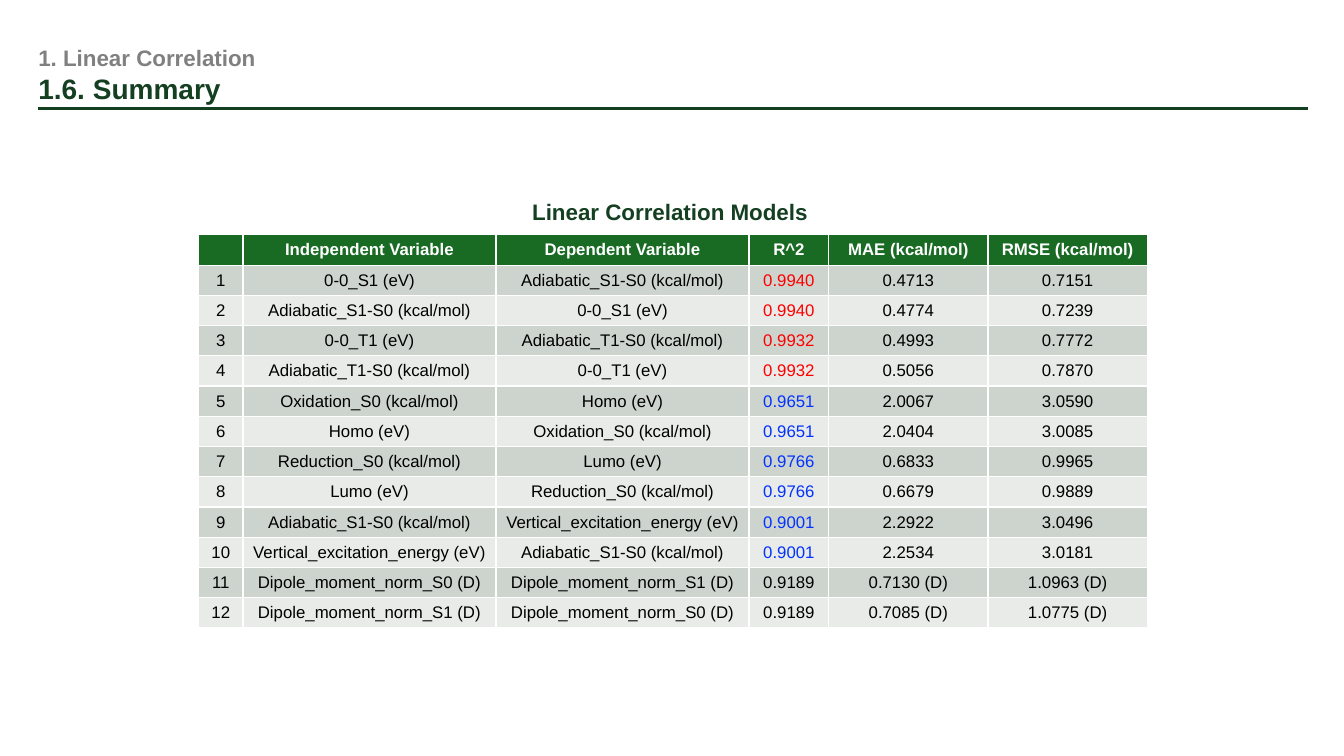
from pptx import Presentation
from pptx.dml.color import RGBColor
from pptx.enum.shapes import MSO_CONNECTOR
from pptx.enum.text import MSO_ANCHOR, MSO_AUTO_SIZE, PP_ALIGN
from pptx.oxml.ns import qn
from pptx.util import Inches, Pt
from lxml.etree import SubElement

COLORS = {
    "dark": "143F21", "gray": "808080", "head": "196B24",
    "odd": "CCD4CD", "even": "E8EBE8", "white": "FFFFFF",
    "black": "000000", "red": "FF0000", "blue": "0432FF",
}

HEAD = ["", "Independent Variable", "Dependent Variable", "R^2",
        "MAE (kcal/mol)", "RMSE (kcal/mol)"]
# Variable pair, R^2, its color, then (MAE, RMSE) for each direction
PAIRS = [
    ("0-0_S1 (eV)", "Adiabatic_S1-S0 (kcal/mol)", "0.9940", "red",
     ("0.4713", "0.7151"), ("0.4774", "0.7239")),
    ("0-0_T1 (eV)", "Adiabatic_T1-S0 (kcal/mol)", "0.9932", "red",
     ("0.4993", "0.7772"), ("0.5056", "0.7870")),
    ("Oxidation_S0 (kcal/mol)", "Homo (eV)", "0.9651", "blue",
     ("2.0067", "3.0590"), ("2.0404", "3.0085")),
    ("Reduction_S0 (kcal/mol)", "Lumo (eV)", "0.9766", "blue",
     ("0.6833", "0.9965"), ("0.6679", "0.9889")),
    ("Adiabatic_S1-S0 (kcal/mol)", "Vertical_excitation_energy (eV)", "0.9001", "blue",
     ("2.2922", "3.0496"), ("2.2534", "3.0181")),
    ("Dipole_moment_norm_S0 (D)", "Dipole_moment_norm_S1 (D)", "0.9189", "black",
     ("0.7130 (D)", "1.0963 (D)"), ("0.7085 (D)", "1.0775 (D)")),
]
WIDTHS = [0.44, 2.51, 2.51, 0.79, 1.58, 1.58]
ROW = 0.3


class Deck:
    def __init__(self, slide, face="Arial"):
        self.slide = slide
        self.face = face

    def color(self, name):
        return RGBColor.from_string(COLORS[name])

    def style(self, par, size, color, bold=False):
        font = par.font
        font.name, font.size, font.bold = self.face, Pt(size), bold
        font.color.rgb = self.color(color)

    def rule(self, x1, x2, y, color, width):
        line = self.slide.shapes.add_connector(
            MSO_CONNECTOR.STRAIGHT, Inches(x1), Inches(y), Inches(x2), Inches(y))
        line.line.color.rgb = self.color(color)
        line.line.width = Pt(width)
        SubElement(line._element.spPr, qn("a:effectLst"))

    def text(self, box, lines, inset=None, wrap=True):
        frame = self.slide.shapes.add_textbox(*map(Inches, box)).text_frame
        frame.word_wrap = wrap
        frame.auto_size = MSO_AUTO_SIZE.SHAPE_TO_FIT_TEXT
        if inset is not None:
            frame.margin_left = frame.margin_right = Inches(inset)
            frame.margin_top = frame.margin_bottom = Inches(inset)
        frame.text = "\n".join(line[0] for line in lines)
        for par, (_, size, color) in zip(frame.paragraphs, lines):
            self.style(par, size, color, bold=True)

    def cell(self, cell, text, fill, color, bold):
        cell.fill.solid()
        cell.fill.fore_color.rgb = self.color(fill)
        cell.vertical_anchor = MSO_ANCHOR.MIDDLE
        cell.margin_top = cell.margin_bottom = 0
        cell.text = text
        par = cell.text_frame.paragraphs[0]
        par.alignment = PP_ALIGN.CENTER
        self.style(par, 12, color, bold)

    def table(self, left, top, rows, marks):
        size = sum(WIDTHS), ROW * len(rows)
        grid = self.slide.shapes.add_table(
            len(rows), len(WIDTHS), *map(Inches, (left, top, *size))).table
        for col, width in zip(grid.columns, WIDTHS):
            col.width = Inches(width)
        for r, row in enumerate(rows):
            grid.rows[r].height = Inches(ROW)
            fill = "head" if r == 0 else "odd" if r % 2 else "even"
            for c, text in enumerate(row):
                color = "white" if r == 0 else marks[r] if c == 3 else "black"
                self.cell(grid.cell(r, c), text, fill, color, bold=r == 0)


def main():
    prs = Presentation()
    prs.slide_width, prs.slide_height = Inches(13.33), Inches(7.5)
    deck = Deck(prs.slides.add_slide(prs.slide_layouts[6]))

    # Title
    deck.rule(0.38, 12.97, 1.08, "dark", 2.25)
    deck.text((0.38, 0.44, 12.02, 0.61),
              [("1. Linear Correlation", 16, "gray"), ("1.6. Summary", 20, "dark")],
              inset=0)

    # Models: each pair is listed in both directions
    rows, marks = [HEAD], ["white"]
    for first, second, score, mark, there, back in PAIRS:
        for x, y, errors in ((first, second, there), (second, first, back)):
            rows.append([str(len(rows)), x, y, score, *errors])
            marks.append(mark)
    deck.table(1.97, 2.33, rows, marks)

    # Caption
    deck.text((5.18, 1.92, 2.97, 0.37),
              [("Linear Correlation Models", 16, "dark")], wrap=False)

    prs.save("out.pptx")


if __name__ == "__main__":
    main()
